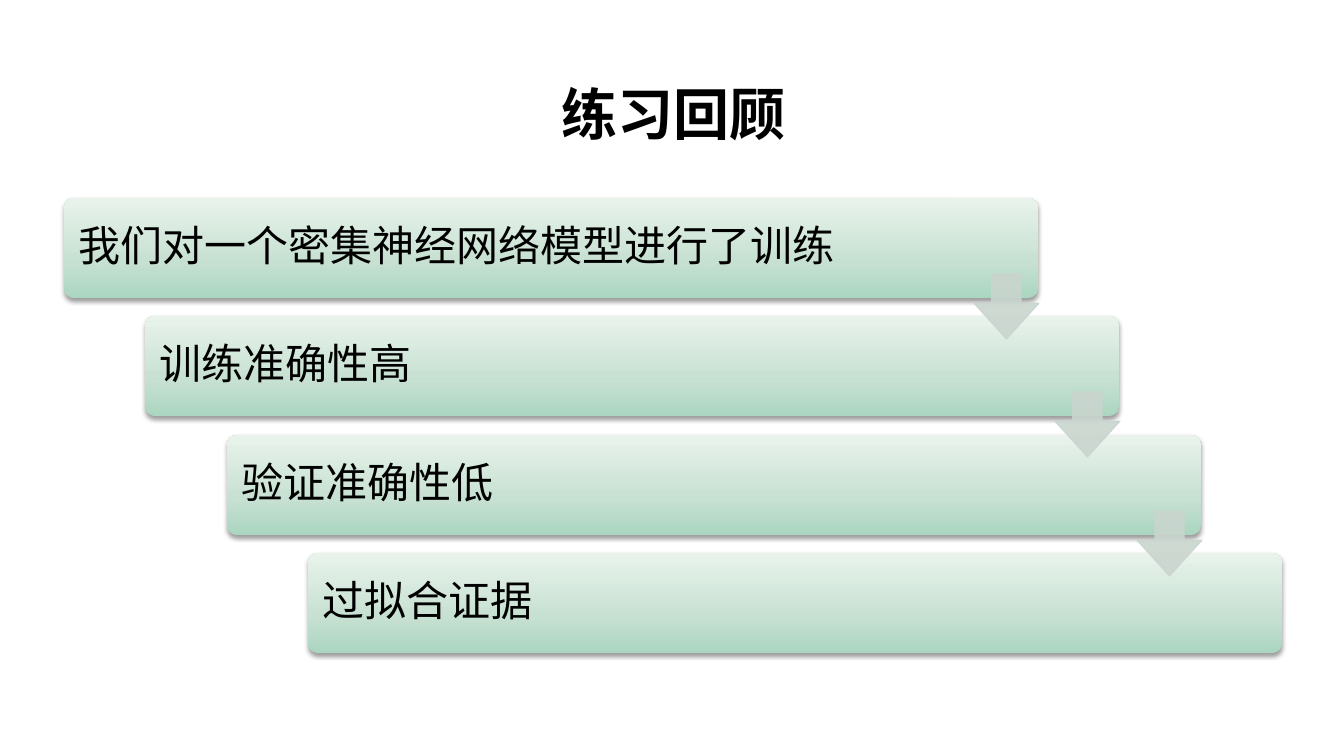
from dataclasses import dataclass

from lxml import etree
from pptx import Presentation
from pptx.dml.color import RGBColor
from pptx.enum.shapes import MSO_SHAPE
from pptx.enum.text import MSO_ANCHOR, PP_ALIGN
from pptx.oxml.ns import qn
from pptx.util import Pt

ROUNDED = MSO_SHAPE.ROUNDED_RECTANGLE
DOWN_ARROW = MSO_SHAPE.DOWN_ARROW
MIDDLE, BOTTOM = MSO_ANCHOR.MIDDLE, MSO_ANCHOR.BOTTOM
LEFT, CENTER = PP_ALIGN.LEFT, PP_ALIGN.CENTER
EMU_PER_PX = 914400 / 112


@dataclass(frozen=True)
class Theme:
    font: str = "Roboto"
    text: str = "000000"
    arrow: str = "C9D5CE"
    shadow: str = "000000"
    bar_stops: tuple = ((0, "ABD6C1"), (35, "C6E0D1"), (100, "E9F3EC"))
    title_size: int = 36
    step_size: int = 27


def px(length):
    return round(length * EMU_PER_PX)


def add_color(parent, color, alpha=100):
    """Append an RGB colour, with its opacity in percent, to an XML element."""
    node = etree.SubElement(parent, qn("a:srgbClr"), val=color)
    if alpha < 100:
        etree.SubElement(node, qn("a:alpha"), val=str(alpha * 1000))


class SlideBuilder:
    def __init__(self, slide, theme):
        self.slide = slide
        self.theme = theme

    def shape(self, preset, box, adjustments):
        shape = self.slide.shapes.add_shape(preset, *map(px, box))
        shape.shadow.inherit = False
        for index, value in enumerate(adjustments):
            shape.adjustments[index] = value
        return shape

    def text(self, content, box, size, bold=False, align=LEFT,
             anchor=MIDDLE, insets=(12, 12)):
        frame = self.slide.shapes.add_textbox(*map(px, box)).text_frame
        frame.word_wrap = True
        frame.vertical_anchor = anchor
        frame.margin_left = frame.margin_right = px(insets[0])
        frame.margin_top = frame.margin_bottom = px(insets[1])
        paragraph = frame.paragraphs[0]
        paragraph.alignment = align
        paragraph.line_spacing = 0.9
        run = paragraph.add_run()
        run.text = content
        run.font.name = self.theme.font
        run.font.size = Pt(size)
        run.font.bold = bold
        run.font.color.rgb = RGBColor.from_string(self.theme.text)

    def bar(self, box):
        bar = self.shape(ROUNDED, box, [0.1])
        bar.line.fill.background()
        # Gradient, darkest at the bottom
        bar.fill.gradient()
        bar.fill.gradient_angle = 90
        properties = bar.element.spPr
        stops = properties.find(".//" + qn("a:gsLst"))
        for stop in list(stops):
            stops.remove(stop)
        for position, color in self.theme.bar_stops:
            stop = etree.SubElement(stops, qn("a:gs"), pos=str(position * 1000))
            add_color(stop, color)
        # Soft shadow below
        shadow = etree.SubElement(
            properties.find(qn("a:effectLst")), qn("a:outerShdw"),
            blurRad=str(Pt(3.1)), dist=str(Pt(1.6)), dir="5400000",
            rotWithShape="0")
        add_color(shadow, self.theme.shadow, 38)

    def arrow(self, box):
        # Down arrow adjustments: head length, then shaft width
        arrow = self.shape(DOWN_ARROW, box, [0.45, 0.55])
        arrow.line.width = Pt(0.75)
        for fill in (arrow.fill, arrow.line.fill):
            fill.solid()
            fill.fore_color.rgb = RGBColor.from_string(self.theme.arrow)
        for color in arrow.element.spPr.iter(qn("a:srgbClr")):
            etree.SubElement(color, qn("a:alpha"), val="90000")


STEPS = ["我们对一个密集神经网络模型进行了训练", "训练准确性高", "验证准确性低", "过拟合证据"]
BAR_W, BAR_H = 974, 100
FIRST_X, FIRST_Y = 64, 198
LAST_X, LAST_Y = 308, 553
ARROW = 65


def main():
    presentation = Presentation()
    presentation.slide_width, presentation.slide_height = px(1344), px(756)
    theme = Theme()
    builder = SlideBuilder(
        presentation.slides.add_slide(presentation.slide_layouts[6]), theme)

    # Title
    builder.text("练习回顾", (62, 81, 1222, 73), theme.title_size, bold=True,
                 align=CENTER, anchor=BOTTOM, insets=(11, 6))

    # Staircase of steps, evenly spaced from first to last
    gaps = len(STEPS) - 1
    corners = [(FIRST_X + round(i * (LAST_X - FIRST_X) / gaps),
                FIRST_Y + round(i * (LAST_Y - FIRST_Y) / gaps))
               for i in range(len(STEPS))]
    for i, (step, (x, y)) in enumerate(zip(STEPS, corners)):
        builder.bar((x, y, BAR_W, BAR_H))
        label_w = 858 if i == 0 else 822
        builder.text(step, (x + 3, y + 3, label_w, BAR_H - 6), theme.step_size)

    # Arrows from each step to the next
    for x, y in corners[:-1]:
        builder.arrow((x + BAR_W - ARROW + 1, y + 76, ARROW, ARROW))

    presentation.save("out.pptx")


if __name__ == "__main__":
    main()
